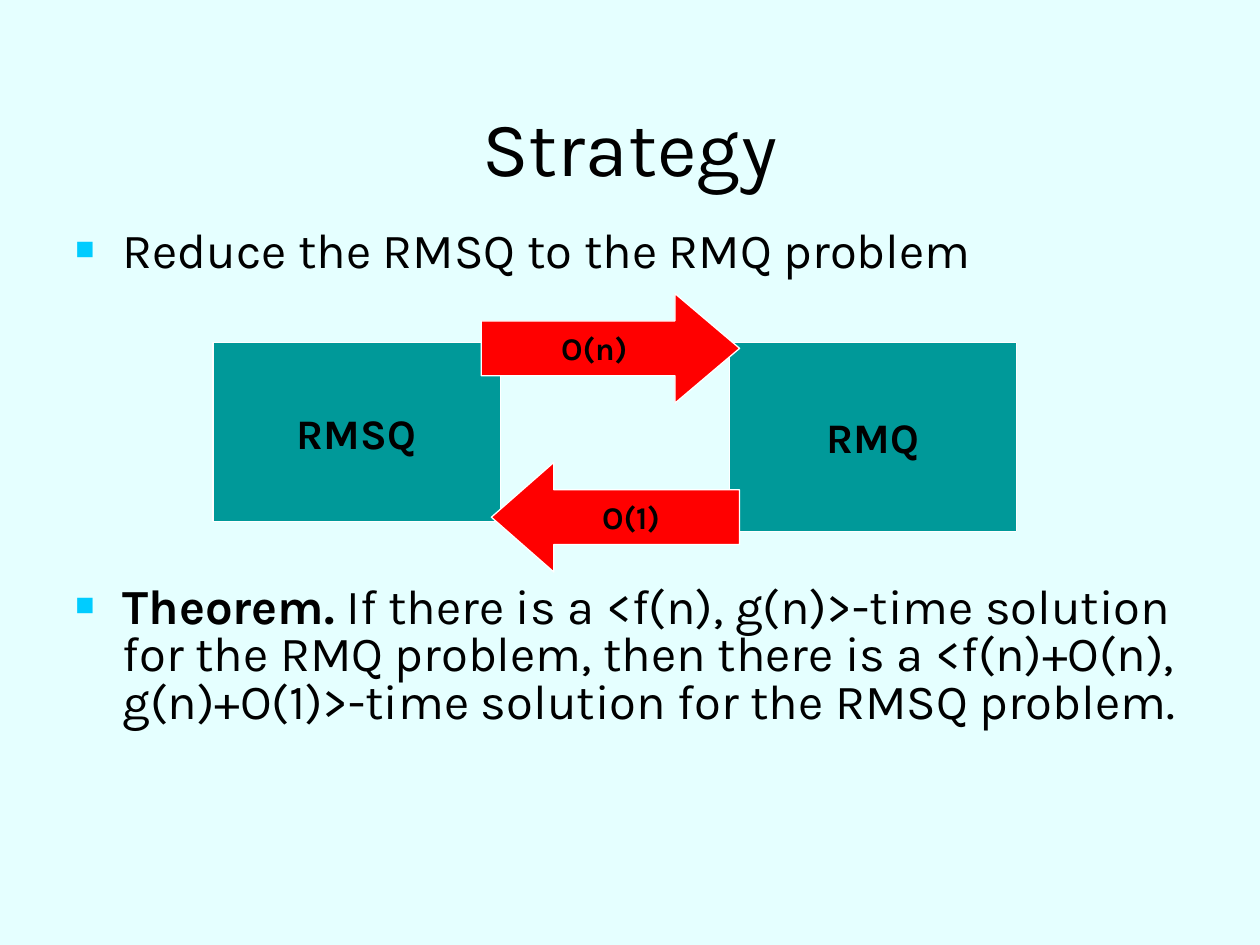
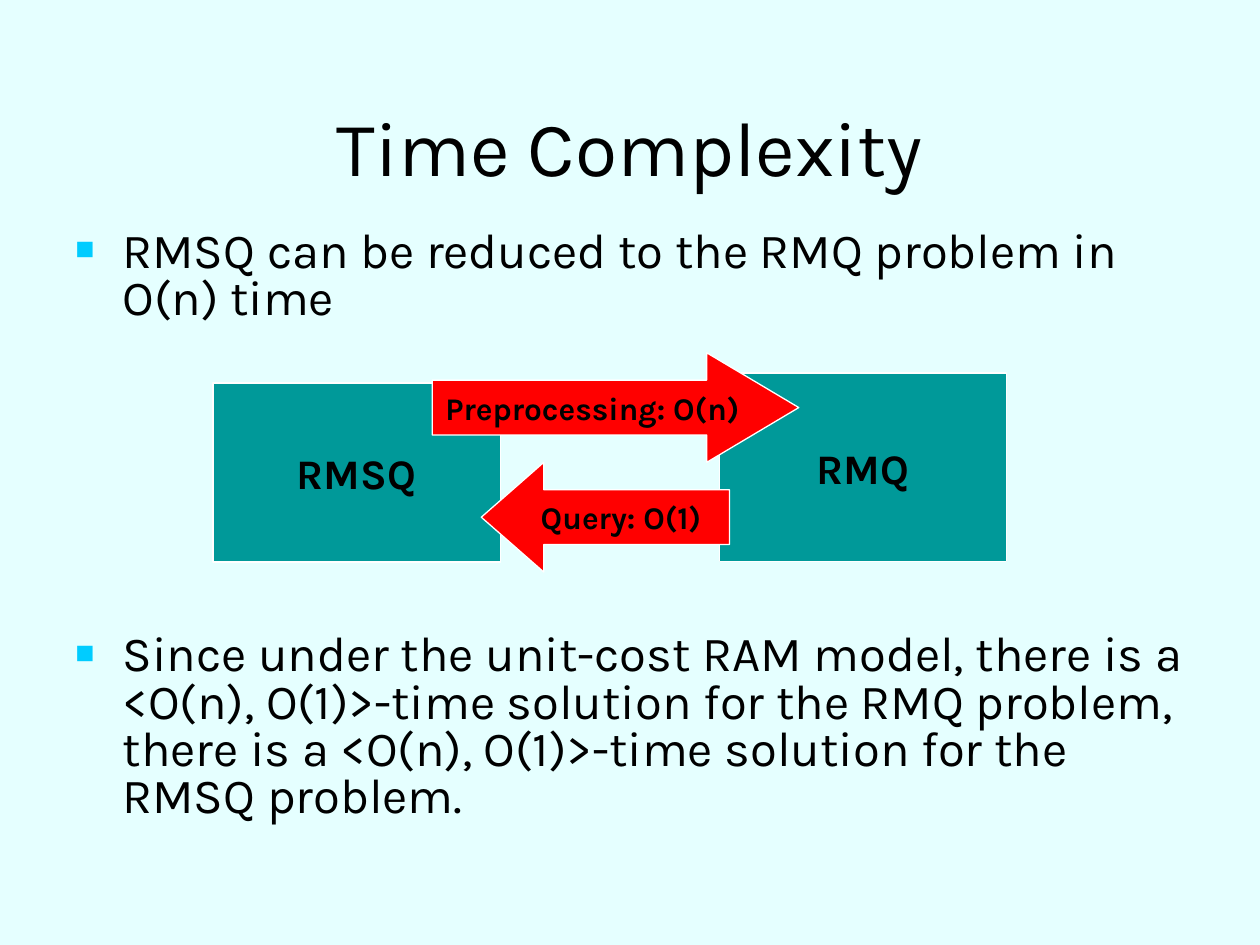
from dataclasses import dataclass

from lxml.etree import SubElement
from pptx import Presentation
from pptx.dml.color import RGBColor
from pptx.enum.shapes import MSO_SHAPE
from pptx.enum.text import MSO_ANCHOR, PP_ALIGN
from pptx.oxml.ns import qn
from pptx.util import Inches, Pt


@dataclass(frozen=True)
class Theme:
    """Colours, fonts and type sizes shared by the slides."""
    background: str = "E5FFFF"
    ink: str = "000000"
    outline: str = "FFFFFF"
    bullet: str = "00CCFF"
    problem: str = "009999"
    arrow: str = "FF0000"
    font: str = "Karla"
    bullet_font: str = "Arial"
    title_size: int = 44
    body_size: int = 28
    problem_size: int = 24
    arrow_size: int = 18


class Deck:
    """Hold the style and the current slide, and add elements to it."""

    def __init__(self, prs, theme):
        """Keep the presentation and its theme."""
        self.prs, self.theme, self.s = prs, theme, None

    def new_slide(self, title):
        """Start a slide with its background and title."""
        self.s = self.prs.slides.add_slide(self.prs.slide_layouts[6])
        fill = self.s.background.fill
        fill.solid()
        fill.fore_color.rgb = RGBColor.from_string(self.theme.background)
        tf = self.text_box((0.5, 0.41, 9, 1.5))
        tf.vertical_anchor = MSO_ANCHOR.MIDDLE
        p = tf.paragraphs[0]
        p.alignment = PP_ALIGN.CENTER
        self.run(p, title, self.theme.title_size)

    def text_box(self, box):
        """Add a wrapping text box and return its text frame."""
        tf = self.s.shapes.add_textbox(*map(Inches, box)).text_frame
        tf.word_wrap = True
        return tf

    def run(self, p, words, size, bold=False):
        """Add a run in the theme font to a paragraph."""
        r = p.add_run()
        r.text = words
        values = {"name": self.theme.font, "size": Pt(size), "bold": bold}
        for key, value in values.items():
            setattr(r.font, key, value)
        r.font.color.rgb = RGBColor.from_string(self.theme.ink)

    def bullets(self, height, items, gap):
        """Add bulleted paragraphs of (text, bold) runs, set apart by a gap."""
        tf = self.text_box((0.5, 1.78, 9, height))
        for i, runs in enumerate(items):
            p = tf.add_paragraph() if i else tf.paragraphs[0]
            p.line_spacing = 0.8
            p.space_before = Pt(gap if i else 0)
            self.bullet(p)
            for words, bold in runs:
                self.run(p, words, self.theme.body_size, bold)

    def bullet(self, p):
        """Give a paragraph a hanging square bullet."""
        pPr = p._p.get_or_add_pPr()
        indent = Inches(3 / 8)
        pPr.set("marL", str(indent))
        pPr.set("indent", str(-indent))
        color = SubElement(pPr, qn("a:buClr"))
        SubElement(color, qn("a:srgbClr")).set("val", self.theme.bullet)
        SubElement(pPr, qn("a:buSzPct")).set("val", "65000")
        SubElement(pPr, qn("a:buFont")).set("typeface", self.theme.bullet_font)
        SubElement(pPr, qn("a:buChar")).set("char", "■")

    def shape(self, kind, box, label, fill, size, adjustments=()):
        """Add a filled shape with a bold centred label."""
        sp = self.s.shapes.add_shape(kind, *map(Inches, box))
        sp.shadow.inherit = False
        for i, value in enumerate(adjustments):
            sp.adjustments[i] = value
        sp.fill.solid()
        sp.fill.fore_color.rgb = RGBColor.from_string(fill)
        sp.line.color.rgb = RGBColor.from_string(self.theme.outline)
        sp.line.width = Pt(0.75)
        tf = sp.text_frame
        tf.word_wrap = False
        tf.vertical_anchor = MSO_ANCHOR.MIDDLE
        p = tf.paragraphs[0]
        p.alignment = PP_ALIGN.CENTER
        self.run(p, label, size, bold=True)

    def problem(self, box, label):
        """Add a problem box."""
        t = self.theme
        self.shape(MSO_SHAPE.RECTANGLE, box, label, t.problem, t.problem_size)

    def arrow(self, kind, left, top, width, label, head):
        """Add a block arrow with the given head length."""
        t = self.theme
        self.shape(kind, (left, top, width, 0.87), label, t.arrow, t.arrow_size,
                   (0.5, head))

    def reduction(self, rmsq_top, rmq_left, rmq_top, forward, back):
        """Draw the two problems and the arrows between them."""
        self.problem((1.69, rmsq_top, 2.28, 1.42), "RMSQ")
        self.problem((rmq_left, rmq_top, 2.28, 1.5), "RMQ")
        self.arrow(MSO_SHAPE.RIGHT_ARROW, *forward)
        left, label = back
        self.arrow(MSO_SHAPE.LEFT_ARROW, left, 3.67, 1.97, label, 0.57)


def main():
    """Build both slides and save them."""
    prs = Presentation()
    prs.slide_width, prs.slide_height = Inches(10), Inches(7.5)
    deck = Deck(prs, Theme())
    diagram_gap = 177

    deck.new_slide("Strategy")
    deck.bullets(4.73, [
        [("Reduce the RMSQ to the RMQ problem", False)],
        [("Theorem.", True),
         (" If there is a <f(n), g(n)>-time solution for the RMQ problem, then "
          "there is a <f(n)+O(n), g(n)+O(1)>-time solution for the RMSQ problem.",
          False)],
    ], diagram_gap)
    deck.reduction(2.72, 5.79, 2.72, (3.82, 2.33, 2.05, "O(n)", 0.59),
                   (3.9, "O(1)"))

    deck.new_slide("Time Complexity")
    deck.bullets(5.2, [
        [("RMSQ can be reduced to the RMQ problem in O(n) time", False)],
        [("Since under the unit-cost RAM model, there is a <O(n), O(1)>-time "
          "solution for the RMQ problem, there is a <O(n), O(1)>-time solution "
          "for the RMSQ problem.", False)],
    ], diagram_gap)
    deck.reduction(3.04, 5.71, 2.96, (3.43, 2.8, 2.91, "Preprocessing: O(n)", 0.84),
                   (3.82, "Query: O(1)"))

    prs.save("out.pptx")


if __name__ == "__main__":
    main()
